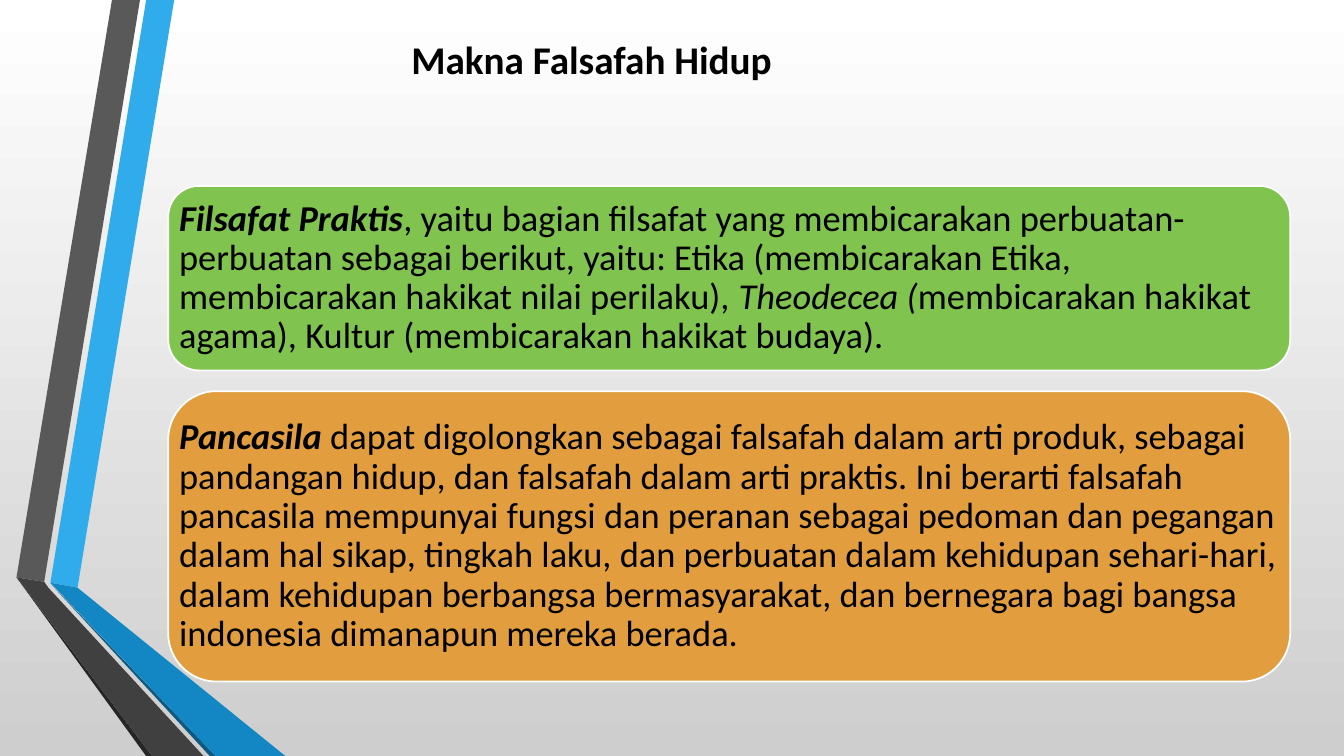
from pptx import Presentation
from pptx.dml.color import RGBColor
from pptx.enum.shapes import MSO_SHAPE
from pptx.enum.text import MSO_ANCHOR, MSO_AUTO_SIZE, PP_ALIGN
from pptx.util import Pt

ROUNDED = MSO_SHAPE.ROUNDED_RECTANGLE
TOP, MIDDLE = MSO_ANCHOR.TOP, MSO_ANCHOR.MIDDLE
LEFT, CENTER = PP_ALIGN.LEFT, PP_ALIGN.CENTER

THEME = {
    "font": "Calibri", "title": Pt(28), "body": Pt(26),
    "text": "000000", "line": "FFFFFF", "bg": ("FFFFFF", "CECECE"),
    "sky": "30ACEC", "blue": "1287C3", "navy": "0C5A82",
    "grey": "595959", "dark": "404040", "black": "262626",
    "green": "80C34F", "orange": "E29D3E",
}


def color(name):
    return RGBColor.from_string(THEME[name])


def write(shape, runs, size, align, frame_format):
    tf = shape.text_frame
    for name, value in frame_format.items():
        setattr(tf, name, value)
    p = tf.paragraphs[0]
    p.alignment = align
    for text, bold, italic in runs:
        r = p.add_run()
        r.text = text
        font_format = {"name": THEME["font"], "size": THEME[size], "bold": bold, "italic": italic}
        for name, value in font_format.items():
            setattr(r.font, name, value)
        r.font.color.rgb = color("text")
    return p


prs = Presentation()
prs.slide_width, prs.slide_height = Pt(960), Pt(540)
s = prs.slides.add_slide(prs.slide_layouts[5])

bg = s.background.fill
bg.gradient()
bg.gradient_angle = 270
for stop, value in zip(bg.gradient_stops, THEME["bg"]):
    stop.color.rgb = RGBColor.from_string(value)

ribbons = [
    ("sky", [(36, 416.2), (55.4, 419.8), (124.4, 0), (104.4, 0)]),
    ("grey", [(100, 0), (80, 0), (11.8, 412.4), (31.6, 415.6)]),
    ("black", [(11.8, 412.4), (104.4, 540), (108.7, 540)]),
    ("navy", [(36, 416.8), (149.8, 540), (154, 540)]),
    ("blue", [(36, 416.2), (154, 540), (203.8, 540), (55.4, 419.8)]),
    ("dark", [(145.4, 540), (34.6, 419.8), (31.6, 415.6), (11.8, 412.4), (108.7, 540)]),
]
for fill, points in ribbons:
    corners = [(Pt(x), Pt(y)) for x, y in points]
    fb = s.shapes.build_freeform(*corners[0])
    fb.add_line_segments(corners[1:], close=True)
    sp = fb.convert_to_shape()
    sp.shadow.inherit = False
    sp.fill.solid()
    sp.fill.fore_color.rgb = color(fill)
    sp.line.fill.background()

title = s.shapes.title
title.left, title.top, title.width, title.height = Pt(119), Pt(21.8), Pt(607), Pt(41)
write(title, [("Makna Falsafah Hidup", True, False)], "title", CENTER,
      {"word_wrap": True, "vertical_anchor": TOP, "auto_size": MSO_AUTO_SIZE.SHAPE_TO_FIT_TEXT})

panels = [
    ("green", 132.8, 131.8, [
        ("Filsafat Praktis", True, True),
        (", yaitu bagian filsafat yang membicarakan perbuatan-perbuatan sebagai berikut, yaitu: "
         "Etika (membicarakan Etika, membicarakan hakikat nilai perilaku), ", False, False),
        ("Theodecea (", False, True),
        ("membicarakan hakikat agama), Kultur (membicarakan hakikat budaya).", False, False),
    ]),
    ("orange", 279.4, 207.4, [
        ("Pancasila", True, True),
        (" dapat digolongkan sebagai falsafah dalam arti produk, sebagai pandangan hidup, dan "
         "falsafah dalam arti praktis. Ini berarti falsafah pancasila mempunyai fungsi dan peranan "
         "sebagai pedoman dan pegangan dalam hal sikap, tingkah laku, dan perbuatan dalam kehidupan "
         "sehari-hari, dalam kehidupan berbangsa bermasyarakat, dan bernegara bagi bangsa indonesia "
         "dimanapun mereka berada.", False, False),
    ]),
]
margins = {f"margin_{side}": Pt(7.8) for side in ("left", "top", "right", "bottom")}
for fill, top, height, runs in panels:
    box = (Pt(120.2), Pt(top), Pt(801.4), Pt(height))
    sp = s.shapes.add_shape(ROUNDED, *box)
    sp.shadow.inherit = False
    sp.fill.solid()
    sp.fill.fore_color.rgb = color(fill)
    sp.line.color.rgb = color("line")
    sp.line.width = Pt(1.25)
    p = write(s.shapes.add_textbox(*box), runs, "body", LEFT,
              {"word_wrap": True, "vertical_anchor": MIDDLE, **margins})
    p.line_spacing = 0.9

prs.save("out.pptx")
